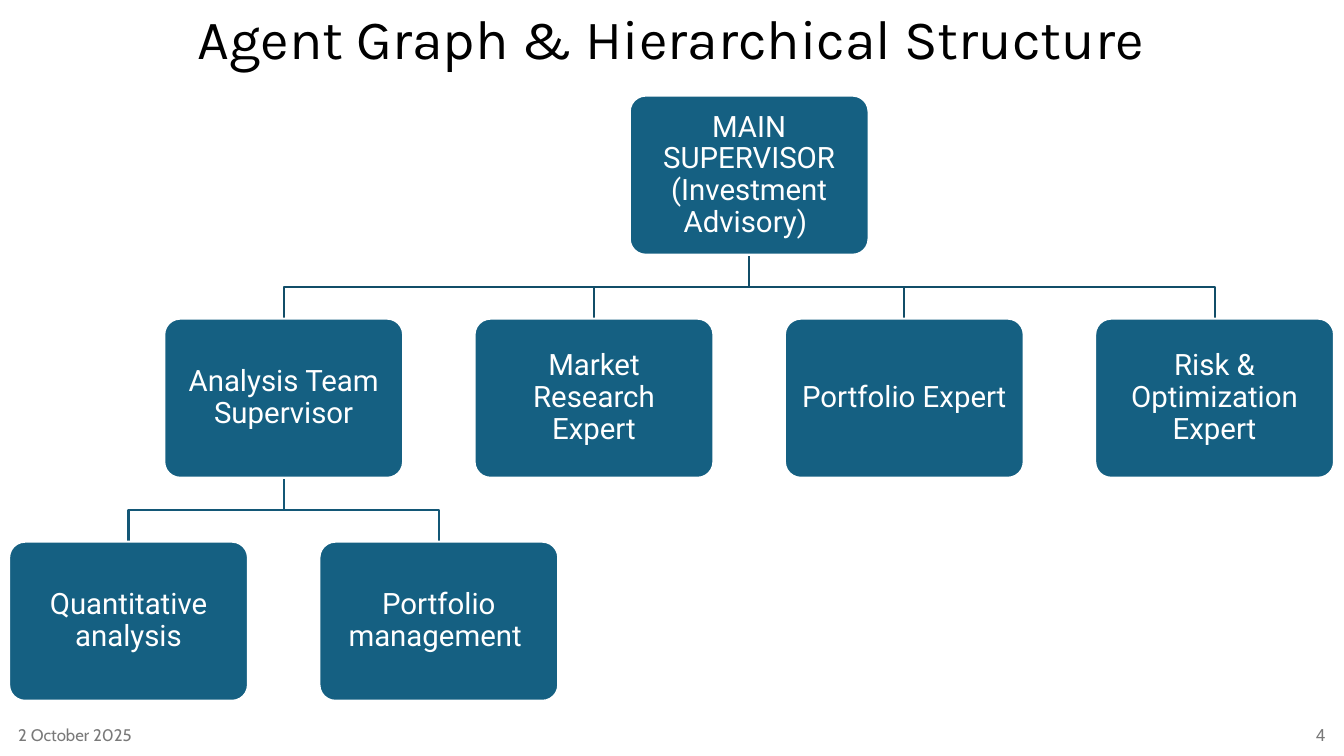
import dataclasses

import pptx
import pptx.dml.color
import pptx.enum.shapes
import pptx.enum.text
import pptx.util
from pptx.util import Cm

ALIGN = pptx.enum.text.PP_ALIGN


@dataclasses.dataclass(frozen=True)
class Theme:
    title: str = "000000"
    box: str = "156082"
    box_text: str = "FFFFFF"
    top_link: str = "114D68"
    team_link: str = "135776"
    footer: str = "797979"
    title_size: float = 39.6
    box_size: float = 21
    footer_size: float = 12
    line_width: float = 1.5
    title_font: str = "Karla"
    body_font: str = "Roboto"
    date_font: str = "Cabin"


THEME = Theme()
BOX_W, BOX_H = Cm(6.02), Cm(4.01)
LEFT, TOP = Cm(0.23), Cm(2.41)
HALF_COLUMN, ROW = Cm(3.91), Cm(5.62)

SUPERVISOR = ("MAIN SUPERVISOR (Investment Advisory) ", 4, 0)
TEAM_LEAD = ("Analysis Team Supervisor", 1, 1)
EXPERTS = [
    TEAM_LEAD,
    ("Market Research Expert", 3, 1),
    ("Portfolio Expert", 5, 1),
    ("Risk & Optimization Expert", 7, 1),
]
TEAM = [("Quantitative analysis", 0, 2), ("Portfolio management ", 2, 2)]


def rgb(color):
    return pptx.dml.color.RGBColor.from_string(color)


def write(tf, text, font, size, color, align, inset=0):
    tf.word_wrap = True
    tf.auto_size = pptx.enum.text.MSO_AUTO_SIZE.NONE
    tf.vertical_anchor = pptx.enum.text.MSO_ANCHOR.MIDDLE
    tf.margin_left = tf.margin_right = inset
    tf.margin_top = tf.margin_bottom = inset
    tf.text = text
    p = tf.paragraphs[0]
    p.alignment = align
    p.font.name = font
    p.font.size = pptx.util.Pt(size)
    p.font.color.rgb = rgb(color)
    return p


def set_line(sp, color):
    sp.shadow.inherit = False
    sp.line.color.rgb = rgb(color)
    sp.line.width = pptx.util.Pt(THEME.line_width)


def corner(column, row):
    return LEFT + column * HALF_COLUMN, TOP + row * ROW


def add_title(s, text):
    sp = s.shapes.title
    sp.left, sp.top, sp.width, sp.height = Cm(0.2), Cm(0.2), Cm(33.43), Cm(1.68)
    p = write(sp.text_frame, text, THEME.title_font, THEME.title_size,
              THEME.title, ALIGN.CENTER)
    p.line_spacing = 0.9


def add_box(s, text, column, row):
    sp = s.shapes.add_shape(pptx.enum.shapes.MSO_SHAPE.ROUNDED_RECTANGLE,
                            *corner(column, row), BOX_W, BOX_H)
    sp.adjustments[0] = 0.1
    sp.fill.solid()
    sp.fill.fore_color.rgb = rgb(THEME.box)
    set_line(sp, THEME.box_text)
    p = write(sp.text_frame, text, THEME.body_font, THEME.box_size,
              THEME.box_text, ALIGN.CENTER, Cm(0.23))
    p.line_spacing = 0.9


def add_link(s, parent, child, color):
    x1, y1 = corner(*parent[1:])
    x2, y2 = corner(*child[1:])
    x1, x2, y1 = x1 + BOX_W // 2, x2 + BOX_W // 2, y1 + BOX_H
    middle = (y1 + y2) // 2
    builder = s.shapes.build_freeform(x1, y1)
    builder.add_line_segments([(x1, middle), (x2, middle), (x2, y2)], close=False)
    sp = builder.convert_to_shape()
    sp.fill.background()
    set_line(sp, color)


def add_footer(s, text, left, font, align):
    sp = s.shapes.add_textbox(left, Cm(18.19), Cm(7.62), Cm(0.66))
    write(sp.text_frame, text, font, THEME.footer_size, THEME.footer, align,
          Cm(0.23))


def main():
    prs = pptx.Presentation()
    prs.slide_width, prs.slide_height = Cm(33.87), Cm(19.05)
    s = prs.slides.add_slide(prs.slide_layouts[5])
    add_title(s, "Agent Graph & Hierarchical Structure")
    for expert in EXPERTS:
        add_link(s, SUPERVISOR, expert, THEME.top_link)
    for member in TEAM:
        add_link(s, TEAM_LEAD, member, THEME.team_link)
    for box in [SUPERVISOR, *EXPERTS, *TEAM]:
        add_box(s, *box)
    add_footer(s, "2 October 2025", Cm(0.23), THEME.date_font, ALIGN.LEFT)
    add_footer(s, "4", Cm(26.01), THEME.body_font, ALIGN.RIGHT)
    prs.save("out.pptx")


if __name__ == "__main__":
    main()
